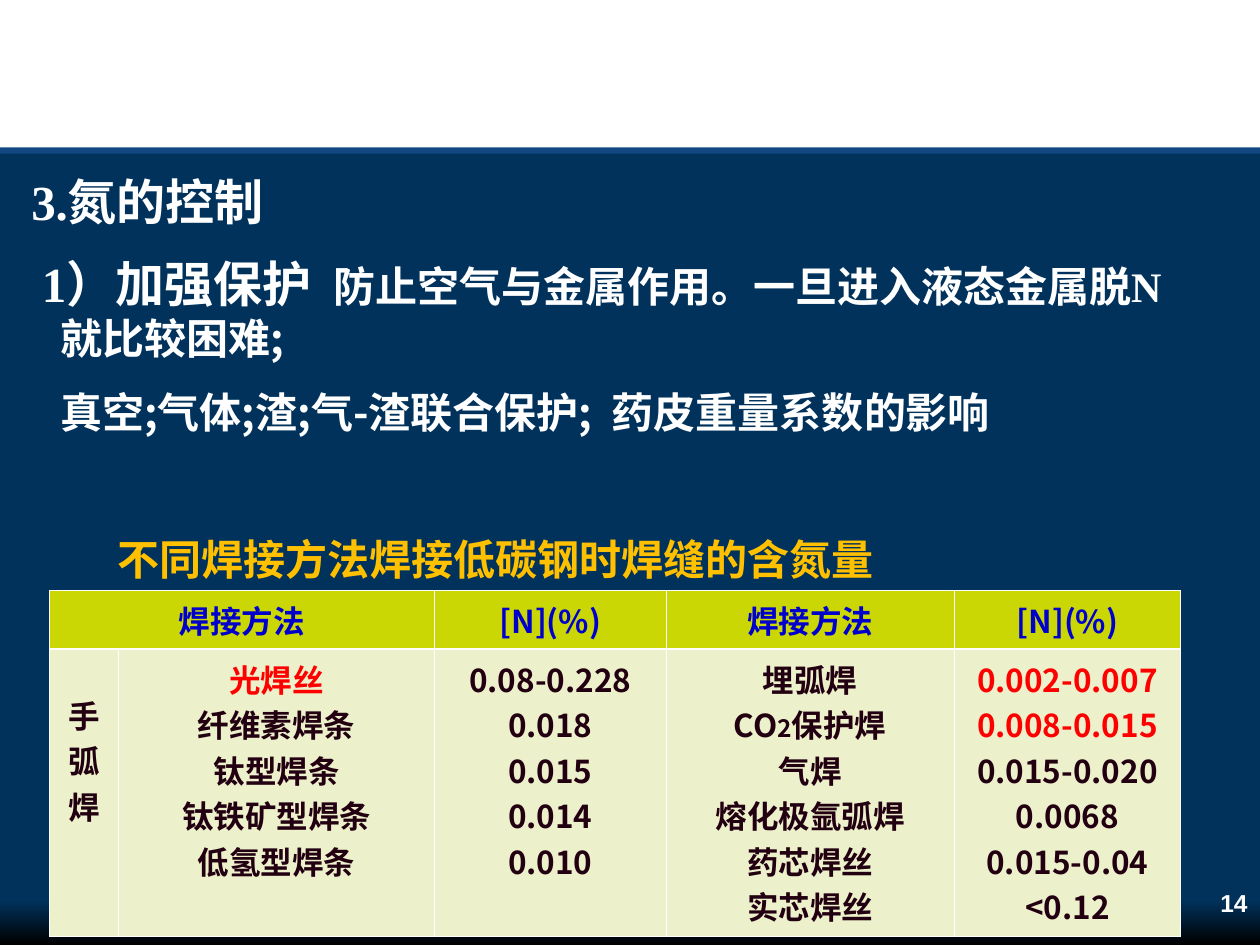
from dataclasses import dataclass
from typing import Any

import lxml.etree
import pptx
import pptx.dml.color
import pptx.enum.shapes
import pptx.enum.text
import pptx.oxml.ns
import pptx.util

RGBColor = pptx.dml.color.RGBColor
WHITE = RGBColor(0xFF, 0xFF, 0xFF)
BLACK = RGBColor(0x00, 0x00, 0x00)
NAVY = RGBColor(0x00, 0x32, 0x5C)
BLUE = RGBColor(0x13, 0x47, 0x81)
AMBER = RGBColor(0xFF, 0xC0, 0x00)
LIME = RGBColor(0xCA, 0xD7, 0x04)
CREAM = RGBColor(0xEC, 0xF0, 0xCB)
HEADING_BLUE = RGBColor(0x00, 0x00, 0xCC)
DARK = RGBColor(0x22, 0x00, 0x11)
RED = RGBColor(0xFF, 0x00, 0x00)

SANS, SERIF, NUMBER = "Noto Sans CJK SC", "Times New Roman", "Arial"
WIDTH, HEIGHT = pptx.util.Inches(10), pptx.util.Inches(7.5)
LEFT = pptx.enum.text.PP_ALIGN.LEFT
CENTER = pptx.enum.text.PP_ALIGN.CENTER
RIGHT = pptx.enum.text.PP_ALIGN.RIGHT
THIN, THICK = 0.45, 1.47  # cell border widths in points


@dataclass(frozen=True)
class Box:
    """Position and size in percent of the slide."""
    left: float
    top: float
    width: float
    height: float

    def emu(self) -> tuple[int, ...]:
        return across(self.left), down(self.top), across(self.width), down(self.height)


@dataclass(frozen=True)
class Run:
    text: str
    size: float = 24
    color: Any = WHITE
    font: str = SANS
    tracking: float = 0  # extra points after each character


@dataclass(frozen=True)
class Line:
    runs: list[Run]
    margin: float = 0  # percent of the slide width
    indent: float = 0


def across(percent: float) -> int:
    return round(WIDTH * percent / 100)


def down(percent: float) -> int:
    return round(HEIGHT * percent / 100)


def set_values(target: Any, values: dict[str, Any]) -> None:
    for name, value in values.items():
        setattr(target, name, value)


def add_runs(paragraph: Any, runs: list[Run]) -> None:
    for item in runs:
        run = paragraph.add_run()
        run.text = item.text
        set_values(run.font, {"size": pptx.util.Pt(item.size), "bold": True, "name": item.font})
        run.font.color.rgb = item.color
        properties = run.font._element
        east_asian = lxml.etree.SubElement(properties, pptx.oxml.ns.qn("a:ea"))
        east_asian.set("typeface", SANS)
        if item.tracking:
            properties.set("spc", str(round(item.tracking * 100)))


def add_lines(frame: Any, lines: list[Line], alignment: Any, gap: float = 0) -> None:
    frame.word_wrap = True
    for index, line in enumerate(lines):
        paragraph = frame.add_paragraph() if index else frame.paragraphs[0]
        if index and gap:
            paragraph.space_before = pptx.util.Pt(gap)
        paragraph.alignment = alignment
        properties = paragraph._p.get_or_add_pPr()
        if line.margin:
            properties.set("marL", str(across(line.margin)))
            properties.set("indent", str(across(line.indent)))
        add_runs(paragraph, line.runs)


def add_band(slide: Any, box: Box, colors: list[Any]) -> None:
    shape = slide.shapes.add_shape(pptx.enum.shapes.MSO_SHAPE.RECTANGLE, *box.emu())
    shape.shadow.inherit = False
    shape.line.fill.background()
    if len(colors) == 1:
        shape.fill.solid()
        shape.fill.fore_color.rgb = colors[0]
        return
    shape.fill.gradient()
    shape.fill.gradient_angle = 270
    for position, (stop, color) in enumerate(zip(shape.fill.gradient_stops, colors)):
        stop.color.rgb = color
        stop.position = position


def add_borders(cell: Any, widths: dict[str, float]) -> None:
    properties = cell._tc.get_or_add_tcPr()
    for position, (side, width) in enumerate(widths.items()):
        border = lxml.etree.Element(pptx.oxml.ns.qn(f"a:ln{side}"))
        border.set("w", str(pptx.util.Pt(width)))
        fill = lxml.etree.SubElement(border, pptx.oxml.ns.qn("a:solidFill"))
        lxml.etree.SubElement(fill, pptx.oxml.ns.qn("a:srgbClr")).set("val", str(WHITE))
        properties.insert(position, border)


def cell_lines(texts: list[str], color: Any = DARK, red: int = 0) -> list[Line]:
    """One line per text; the first `red` lines are highlighted."""
    return [Line([Run(text, 18, RED if index < red else color)])
            for index, text in enumerate(texts)]


def add_nitrogen_table(slide: Any, box: Box, columns: list[float], rows: list[float],
                       contents: list[list[list[Line]]]) -> None:
    table = slide.shapes.add_table(len(rows), len(columns), *box.emu()).table
    for column, width in zip(table.columns, columns):
        column.width = across(width)
    for row, height in zip(table.rows, rows):
        row.height = down(height)
    for row_index, row_contents in enumerate(contents):
        header = row_index == 0
        for column_index, lines in enumerate(row_contents):
            cell = table.cell(row_index, column_index)
            cell.fill.solid()
            cell.fill.fore_color.rgb = LIME if header else CREAM
            add_borders(cell, {"L": THIN, "R": THIN, "T": THIN if header else THICK,
                               "B": THICK if header else THIN})
            if lines:
                add_lines(cell.text_frame, lines, CENTER)
    table.cell(0, 0).merge(table.cell(0, 1))
    # The arc welding label starts one line lower than its neighbours
    table.cell(1, 0).margin_top = down(4.5)


BANDS = [
    (Box(0, 0, 100, 15.6), [WHITE]),
    (Box(0, 16.27, 100, 83.73), [NAVY]),
    (Box(0, 95.27, 100, 4.73), [NAVY, BLACK]),
]

BODY = [
    Line([Run("3.氮的控制", 28, font=SERIF)], 3.8, -2.3),
    Line([Run("1）", 28, font=SERIF), Run("加强保护", 28), Run(" ", 28, tracking=6.3),
          Run("防止空气与金属作用。一旦进入液态金属脱"), Run("N", font=SERIF),
          Run("就比较困难;")], 3.8, -1.45),
    Line([Run("真空;气体;渣;气-渣联合保护;"), Run(" ", tracking=5.8),
          Run("药皮重量系数的影响")], 3.8),
]
CAPTION = [Line([Run("不同焊接方法焊接低碳钢时焊缝的含氮量", color=AMBER)], 8.35)]

HEADER = [cell_lines([text], HEADING_BLUE) if text else []
          for text in ("焊接方法", "", "[N](%)", "焊接方法", "[N](%)")]
METHODS = cell_lines(["埋弧焊", "", "气焊", "熔化极氩弧焊", "药芯焊丝", "实芯焊丝"])
METHODS[1] = Line([Run("CO", 18, DARK), Run("2", 14, DARK), Run("保护焊", 18, DARK)])
VALUES = [
    cell_lines(["手弧焊"]),
    cell_lines(["光焊丝", "纤维素焊条", "钛型焊条", "钛铁矿型焊条", "低氢型焊条"], red=1),
    cell_lines(["0.08-0.228", "0.018", "0.015", "0.014", "0.010"]),
    METHODS,
    cell_lines(["0.002-0.007", "0.008-0.015", "0.015-0.020", "0.0068", "0.015-0.04",
                "<0.12"], red=2),
]


def main() -> None:
    presentation = pptx.Presentation()
    set_values(presentation, {"slide_width": WIDTH, "slide_height": HEIGHT})
    slide = presentation.slides.add_slide(presentation.slide_layouts[6])
    slide.background.fill.solid()
    slide.background.fill.fore_color.rgb = BLUE

    # Background bands
    for box, colors in BANDS:
        add_band(slide, box, colors)

    # Slide number, body text and table caption
    for box, lines, alignment in (
        (Box(79.2, 93.33, 20.8, 6.67), [Line([Run("14", 14, font=NUMBER)])], RIGHT),
        (Box(0, 17.47, 93.7, 38.8), BODY, LEFT),
        (Box(0, 55.8, 93.7, 6.7), CAPTION, LEFT),
    ):
        add_lines(slide.shapes.add_textbox(*box.emu()).text_frame, lines, alignment, gap=13.5)

    # Nitrogen content by welding method
    add_nitrogen_table(slide, Box(3.9, 62.5, 89.8, 36.6), [5.5, 25.1, 18.35, 22.9, 17.95],
                       [6.2, 30.4], [HEADER, VALUES])
    presentation.save("out.pptx")


if __name__ == "__main__":
    main()
